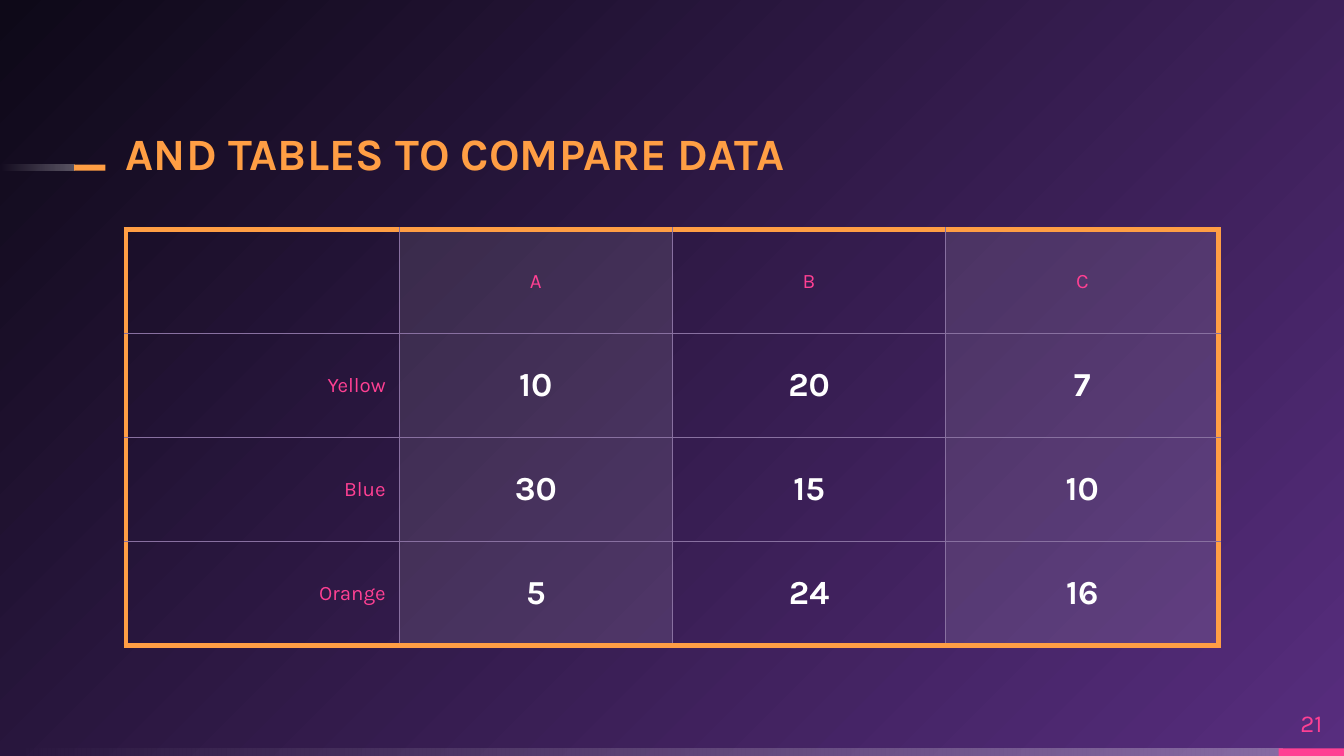
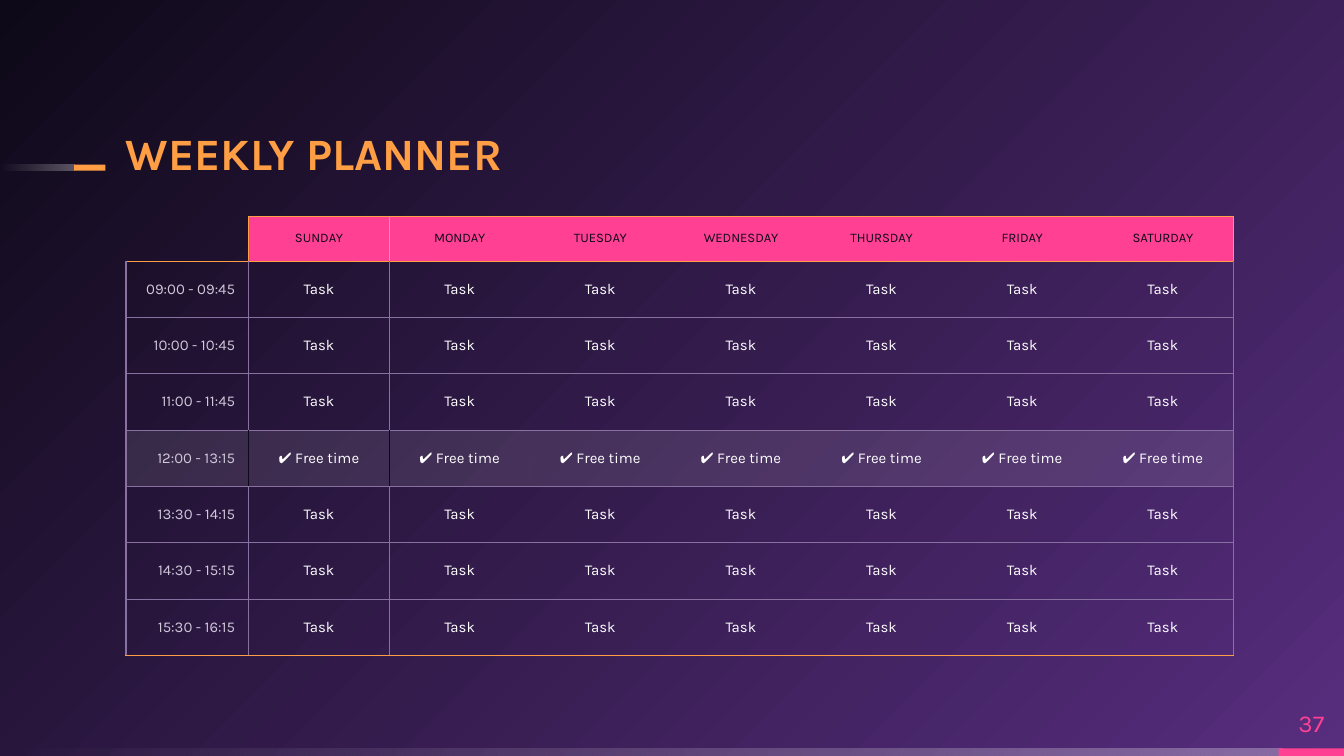
"""Builds a comparison table slide and a weekly planner slide."""
from pptx import Presentation
from pptx.dml.color import RGBColor
from pptx.enum.shapes import MSO_SHAPE
from pptx.enum.text import MSO_ANCHOR, MSO_AUTO_SIZE, PP_ALIGN
from pptx.oxml import parse_xml
from pptx.oxml.ns import nsdecls, qn
from pptx.util import Pt

FONT = "Karla"
HEX = {
    "white": "FFFFFF", "pink": "FF4093", "orange": "FF9E44", "lilac": "8870A0",
    "pale": "D1C8DA", "dark": "0E0918", "violet": "572D7E",
}
PLAIN = "{2D5ABB26-0587-4C30-8999-92F81FD0307C}"
LEFT = 67.5
DAYS = ["SUNDAY", "MONDAY", "TUESDAY", "WEDNESDAY", "THURSDAY", "FRIDAY", "SATURDAY"]
HOURS = ["09:00 - 09:45", "10:00 - 10:45", "11:00 - 11:45", "12:00 - 13:15",
         "13:30 - 14:15", "14:30 - 15:15", "15:30 - 16:15"]
BREAK = 4


def tint(name, alpha=100):
    return f'<a:srgbClr val="{HEX[name]}"><a:alpha val="{alpha * 1000}"/></a:srgbClr>'


def blend(stops, shade):
    marks = "".join(f'<a:gs pos="{pos * 1000}">{tint(*stop)}</a:gs>' for pos, stop in stops)
    return parse_xml(f'<a:gradFill {nsdecls("a")} rotWithShape="1">'
                     f'<a:gsLst>{marks}</a:gsLst>{shade}</a:gradFill>')


def swap(parent, fill):
    """Put a gradient in the place of the solid fill of parent."""
    solid = parent.find(qn("a:solidFill"))
    parent.replace(solid, fill)


def color(fill, name, alpha=100):
    fill.solid()
    fill.fore_color.rgb = RGBColor.from_string(HEX[name])
    if alpha < 100:
        mark = parse_xml(f'<a:alpha {nsdecls("a")} val="{alpha * 1000}"/>')
        fill._xPr.find(qn("a:solidFill"))[0].append(mark)


def write(frame, text, size=11, ink="white", bold=False, align=PP_ALIGN.LEFT, space=None):
    para = frame.paragraphs[0]
    para.alignment = align
    if space:
        para.line_spacing = space
    if not text:
        para._p.get_or_add_endParaRPr().set("sz", str(size * 100))
        return
    run = para.add_run()
    run.text = text
    font = run.font
    font.name, font.size, font.bold = FONT, Pt(size), bold
    font.color.rgb = RGBColor.from_string(HEX[ink])


def fit(frame, anchor):
    frame.margin_left = frame.margin_right = frame.margin_top = frame.margin_bottom = 0
    frame.word_wrap = True
    frame.auto_size = MSO_AUTO_SIZE.NONE
    frame.vertical_anchor = anchor


def bar(shapes, left, top, width, height, name=None):
    """Add a flat bar, which fades out to the left if it has no colour name."""
    shape = shapes.add_shape(MSO_SHAPE.RECTANGLE, Pt(left), Pt(top), Pt(width), Pt(height))
    shape.shadow.inherit = False
    shape.line.fill.background()
    color(shape.fill, name or "white")
    if not name:
        fade = [(0, ("white", 30)), (100, ("white", 0))]
        swap(shape._element.spPr, blend(fade, '<a:lin ang="10800000" scaled="0"/>'))
    return shape


def dress(layout, slide):
    """Give the layout its backdrop and bars, drawn by way of a slide."""
    color(layout.background.fill, "violet")
    glow = ('<a:path path="circle"><a:fillToRect l="100000" t="100000"/></a:path>'
            '<a:tileRect/>')
    backdrop = layout._element.find(".//" + qn("p:bgPr"))
    swap(backdrop, blend([(0, ("violet",)), (100, ("dark",))], glow))
    group = slide.shapes.add_group_shape()
    bar(group.shapes, 0, 88.25, 40, 3.25)
    bar(group.shapes, 39.75, 88.25, 16.75, 3.25, "orange")
    parts = [bar(slide.shapes, 0, 401, 687, 4),
             bar(slide.shapes, 685, 401, 35, 4, "pink"), group]
    tree = layout.shapes._spTree
    for part in parts:
        tree.append(part._element)
    for index, tag in enumerate(tree.iter(qn("p:cNvPr")), 2):
        tag.set("id", str(index))


def head(slide, text, number):
    """Fill in the title and the page number."""
    title = slide.shapes.title
    title.left, title.top, title.width, title.height = Pt(LEFT), Pt(65.5), Pt(417.5), Pt(31)
    fit(title.text_frame, MSO_ANCHOR.BOTTOM)
    write(title.text_frame, text, size=24, ink="orange", bold=True, space=0.9)
    box = slide.shapes.add_textbox(Pt(685), Pt(373.5), Pt(35), Pt(27.5))
    fit(box.text_frame, MSO_ANCHOR.MIDDLE)
    write(box.text_frame, number, size=13, ink="pink", align=PP_ALIGN.CENTER)


def rule(cell, edges):
    """Draw the cell borders, given as side: (colour, width)."""
    props = cell._tc.get_or_add_tcPr()
    sides = [side for side in "LRTB" if side in edges]
    for index, side in enumerate(sides):
        name, width = edges[side]
        props.insert(index, parse_xml(
            f'<a:ln{side} {nsdecls("a")} w="{Pt(width)}"><a:solidFill>{tint(name)}'
            f'</a:solidFill><a:prstDash val="solid"/></a:ln{side}>'))


def grid(slide, top, widths, heights, data, look, edge, pad):
    """Add a table; look and edge give the style and borders of each cell."""
    frame = slide.shapes.add_table(len(heights), len(widths), Pt(LEFT), Pt(top),
                                   Pt(sum(widths)), Pt(sum(heights)))
    table = frame.table
    table.first_row = table.horz_banding = False
    table._tbl.tblPr.find(qn("a:tableStyleId")).text = PLAIN
    for column, width in zip(table.columns, widths):
        column.width = Pt(width)
    for line, height in zip(table.rows, heights):
        line.height = Pt(height)
    for row, texts in enumerate(data):
        for col, text in enumerate(texts):
            cell = table.cell(row, col)
            cell.vertical_anchor = MSO_ANCHOR.MIDDLE
            cell.margin_left = cell.margin_right = Pt(7.2)
            cell.margin_top = cell.margin_bottom = Pt(pad)
            style, fill = look(row, col)
            align = PP_ALIGN.CENTER if col else PP_ALIGN.RIGHT
            write(cell.text_frame, text, align=align, **style)
            if fill:
                color(cell.fill, *fill)
            else:
                cell.fill.background()
            rule(cell, edge(row, col))


def score_look(row, col):
    label = dict(size=11, ink="pink")
    value = dict(size=18, bold=True)
    return value if row and col else label, ("white", 10) if col % 2 else None


def score_edge(row, col):
    rim, thin = ("orange", 3), ("lilac", 0.75)
    ends = {"L": col == 0, "R": col == 3, "T": row == 0, "B": row == 3}
    return {side: rim if end else thin for side, end in ends.items()}


def plan_look(row, col):
    if row == 0:
        return dict(size=7, ink="dark"), ("pink",) if col else None
    ink = "white" if col else "pale"
    return dict(size=8, ink=ink), ("white", 10) if row == BREAK else None


def plan_edge(row, col):
    rim = "lilac" if row else "orange"
    post = "dark" if row == BREAK else rim
    names = {"B": "orange" if row in (0, len(HOURS)) else "lilac"}
    if row or col:
        names["T"] = "orange" if row < 2 else "lilac"
    if col == 0:
        names["R"] = post
        if row:
            names["L"] = rim
    if col == 1:
        names["L"] = post
    if col == len(DAYS):
        names["R"] = rim
    return {side: (name, 0.75) for side, name in names.items()}


def main():
    deck = Presentation()
    deck.slide_width, deck.slide_height = Pt(720), Pt(405)
    layout = deck.slide_layouts[5]

    slide = deck.slides.add_slide(layout)
    dress(layout, slide)
    head(slide, "AND TABLES TO COMPARE DATA", "21")
    scores = [["", "A", "B", "C"], ["Yellow", "10", "20", "7"],
              ["Blue", "30", "15", "10"], ["Orange", "5", "24", "16"]]
    grid(slide, 123, [146.4] * 4, [55.75] * 4, scores, score_look, score_edge, 5)

    slide = deck.slides.add_slide(layout)
    head(slide, "WEEKLY PLANNER", "37")
    plan = [["", *DAYS]]
    for row, hour in enumerate(HOURS, 1):
        task = "✔ Free time" if row == BREAK else "Task"
        plan.append([hour] + [task] * len(DAYS))
    grid(slide, 115.9, [65.75] + [75.35] * len(DAYS), [24] + [30.2] * len(HOURS),
         plan, plan_look, plan_edge, 7.2)

    deck.save("out.pptx")


if __name__ == "__main__":
    main()
